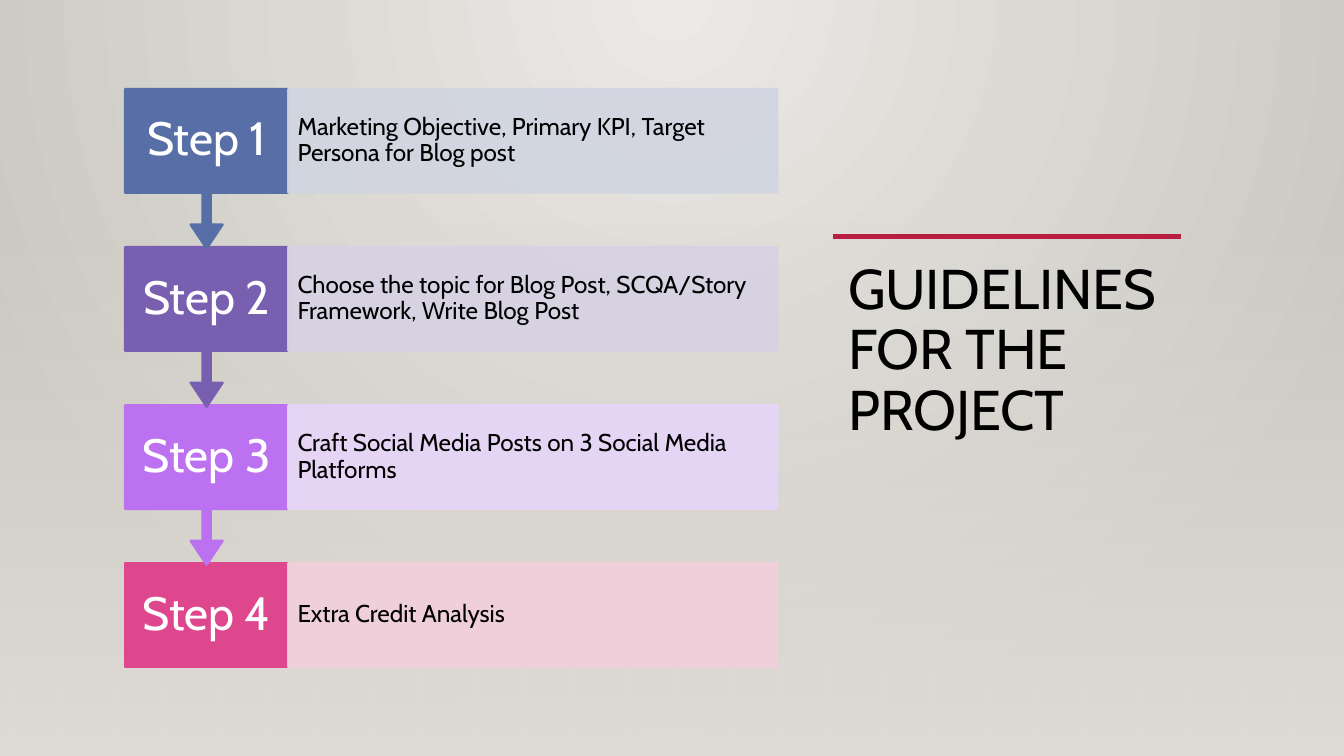
"""Build the slide with the four project steps and their guidelines title."""
from dataclasses import dataclass

from lxml import etree
from pptx import Presentation
from pptx.dml.color import RGBColor
from pptx.dml.fill import FillFormat
from pptx.enum import shapes as kinds, text as txt
from pptx.oxml.ns import qn
from pptx.shapes.autoshape import Shape
from pptx.slide import Slide
from pptx.util import Pt

COLORS = {
    "glow": "ECEAE7", "edge": "CAC7C1", "floor": "DFDBD5", "accent": "B71E42",
    "ink": "000000", "paper": "FFFFFF",
    "blue": "586EA6", "blue_tint": "D1D5E1",
    "violet": "795FAF", "violet_tint": "D7D2E3",
    "lilac": "BC72F0", "lilac_tint": "E7D5F9",
    "pink": "DE478E", "pink_tint": "F2CFDB",
}
FONT = "Cabin"
SLIDE_W, SLIDE_H = 720, 405
STEP_LEFT, STEP_TOP, STEP_PITCH = 67, 47.7, 84.7
LABEL_W, DETAIL_W, BOX_H, CALLOUT_H = 87.4, 262, 55.5, 85.5
TITLE_LEFT, TITLE_W = 446.4, 186.5
ACCENT_Y = 126.7


@dataclass(frozen=True)
class Step:
    label: str
    detail: str
    color: str


STEPS = [
    Step("Step 1", "Marketing Objective, Primary KPI, Target Persona for Blog post", "blue"),
    Step("Step 2", "Choose the topic for Blog Post, SCQA/Story Framework, Write Blog Post", "violet"),
    Step("Step 3", "Craft Social Media Posts on 3 Social Media Platforms", "lilac"),
    Step("Step 4", "Extra Credit Analysis", "pink"),
]


def rgb(name: str) -> RGBColor:
    """Return the named colour."""
    return RGBColor.from_string(COLORS[name])


def set_alpha(parent: etree._Element, percent: int) -> None:
    """Give the first colour inside an element an opacity."""
    color = parent.find(".//" + qn("a:srgbClr"))
    etree.SubElement(color, qn("a:alpha"), val=str(percent * 1000))


def set_gradient(fill: FillFormat, start: str, end: str) -> None:
    """Set a downward gradient between two colours."""
    fill.gradient()
    fill.gradient_angle = 270
    for stop, position, color in zip(fill.gradient_stops, (0, 1), (start, end)):
        stop.position = position
        stop.color.rgb = rgb(color)


def add_background(slide: Slide) -> None:
    """Paint the round glow and the fade towards the floor."""
    set_gradient(slide.background.fill, "glow", "edge")
    glow = slide.element.find(".//" + qn("a:gradFill"))
    glow.remove(glow.find(qn("a:lin")))
    circle = etree.SubElement(glow, qn("a:path"), path="circle")
    etree.SubElement(circle, qn("a:fillToRect"), l="43000", t="0", r="43000", b="100000")

    fade = slide.shapes.add_shape(
        kinds.MSO_SHAPE.RECTANGLE, 0, Pt(119.5), Pt(SLIDE_W), Pt(SLIDE_H - 119.5))
    fade.shadow.inherit = False
    fade.line.fill.background()
    set_gradient(fade.fill, "floor", "floor")
    set_alpha(fade.fill.gradient_stops[0]._gs, 0)


def write(shape: Shape, content: str, size: float, color: str,
          align: txt.PP_ALIGN, anchor: txt.MSO_ANCHOR) -> None:
    """Put one formatted paragraph into a shape."""
    frame = shape.text_frame
    frame.text = content
    frame.word_wrap = True
    frame.auto_size = txt.MSO_AUTO_SIZE.NONE
    frame.vertical_anchor = anchor
    paragraph = frame.paragraphs[0]
    paragraph.alignment = align
    paragraph.line_spacing = 0.9
    font = paragraph.runs[0].font
    font.name, font.size = FONT, Pt(size)
    font.color.rgb = rgb(color)


def add_box(slide: Slide, kind: kinds.MSO_SHAPE, left: float, top: float,
            width: float, height: float, color: str, margin: float) -> Shape:
    """Add a filled box with a line of the same colour."""
    box = slide.shapes.add_shape(kind, Pt(left), Pt(top), Pt(width), Pt(height))
    box.shadow.inherit = False
    box.fill.solid()
    box.fill.fore_color.rgb = rgb(color)
    box.line.color.rgb = rgb(color)
    box.line.width = Pt(1.25)
    box.text_frame.margin_left = box.text_frame.margin_right = Pt(margin)
    return box


def add_step(slide: Slide, index: int, step: Step) -> None:
    """Add a step label, with an arrow unless it is the last, and its detail."""
    top = STEP_TOP + index * STEP_PITCH
    is_last = index == len(STEPS) - 1
    kind = kinds.MSO_SHAPE.RECTANGLE if is_last else kinds.MSO_SHAPE.DOWN_ARROW_CALLOUT
    label = add_box(slide, kind, STEP_LEFT, top, LABEL_W,
                    BOX_H if is_last else CALLOUT_H, step.color, 6.5)
    if not is_last:
        for place, value in enumerate((0.05, 0.1, 0.15, 0.65)):
            label.adjustments[place] = value
    write(label, step.label, 25, "paper", txt.PP_ALIGN.CENTER, txt.MSO_ANCHOR.MIDDLE)

    detail = add_box(slide, kinds.MSO_SHAPE.RECTANGLE, STEP_LEFT + LABEL_W, top,
                     DETAIL_W, BOX_H, f"{step.color}_tint", 5)
    set_alpha(detail.fill._xPr.find(qn("a:solidFill")), 90)
    set_alpha(detail.line._ln, 90)
    write(detail, step.detail, 13, "ink", txt.PP_ALIGN.LEFT, txt.MSO_ANCHOR.MIDDLE)


def add_title(slide: Slide) -> None:
    """Place the title and the accent line above it."""
    title = slide.shapes.title
    title.left, title.top = Pt(TITLE_LEFT), Pt(136.3)
    title.width, title.height = Pt(TITLE_W), Pt(221)
    title.text_frame.margin_left = Pt(8)
    write(title, "GUIDELINES FOR THE PROJECT", 30, "ink",
          txt.PP_ALIGN.LEFT, txt.MSO_ANCHOR.TOP)
    title.text_frame.paragraphs[0].runs[0].font._element.set("spc", "-10")

    accent = slide.shapes.add_connector(
        kinds.MSO_CONNECTOR.STRAIGHT, Pt(TITLE_LEFT), Pt(ACCENT_Y),
        Pt(TITLE_LEFT + TITLE_W), Pt(ACCENT_Y))
    accent.line.color.rgb = rgb("accent")
    accent.line.width = Pt(2.5)
    etree.SubElement(accent._element.spPr, qn("a:effectLst"))


def main() -> None:
    """Build and save the presentation."""
    deck = Presentation()
    deck.slide_width, deck.slide_height = Pt(SLIDE_W), Pt(SLIDE_H)
    slide = deck.slides.add_slide(deck.slide_layouts.get_by_name("Title Only"))
    add_background(slide)
    tree = slide.shapes._spTree
    tree.append(slide.shapes.title._element)
    add_title(slide)
    for index, step in reversed(list(enumerate(STEPS))):
        add_step(slide, index, step)
    deck.save("out.pptx")


if __name__ == "__main__":
    main()
